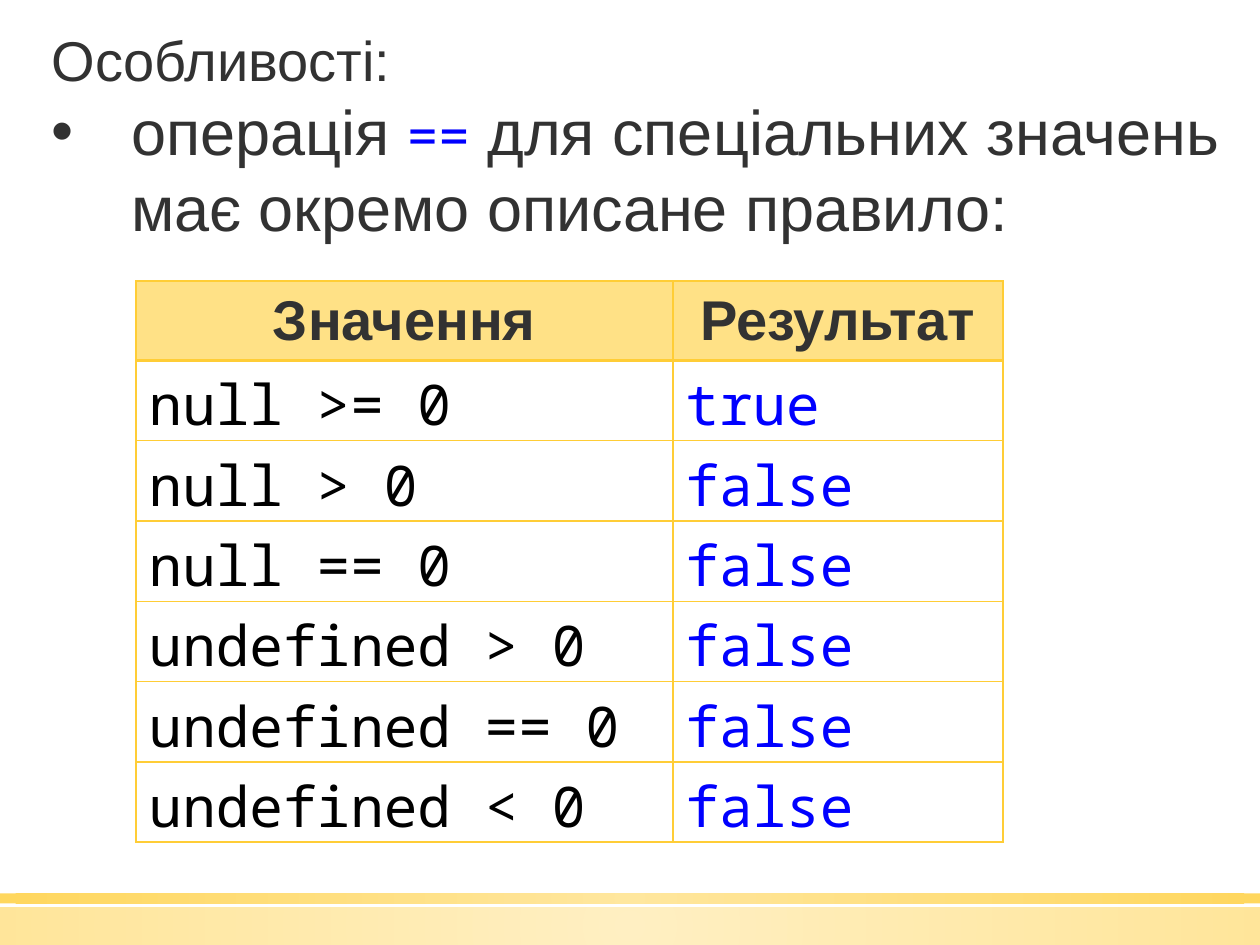
"""Build the slide on special values and the == operator."""
from pptx import Presentation
from pptx.dml.color import RGBColor
from pptx.enum.shapes import MSO_SHAPE as Shape
from pptx.enum.text import MSO_ANCHOR as Anchor, MSO_AUTO_SIZE as Fit, PP_ALIGN as Align
from pptx.oxml import parse_xml
from pptx.oxml.ns import nsdecls
from pptx.util import Inches, Pt

SANS, MONO = "Arial", "Noto Sans Mono"
DARK, BLUE, BLACK, WHITE = "323232", "0000FF", "000000", "FFFFFF"
PALE, GOLD = "FFE186", "FFCD36"
INTRO = [("Особливості:", 32, SANS, DARK)]
POINT = [
    ("операція ", 36, SANS, DARK),
    ("==", 30, MONO, BLUE),
    (" для спеціальних значень має окремо описане правило:", 36, SANS, DARK),
]
HEAD = ("Значення", "Результат")
ROWS = [
    ("null >= 0", "true"),
    ("null > 0", "false"),
    ("null == 0", "false"),
    ("undefined > 0", "false"),
    ("undefined == 0", "false"),
    ("undefined < 0", "false"),
]
COLS = (4.26, 2.62)
ROW_H = 0.63
BARS = [(7.2, 0.3, 50), (7.09, 0.08, 80)]


def color(code):
    return RGBColor.from_string(code)


def add_run(para, text, size, face, code, bold=False):
    run = para.add_run()
    run.text = text
    font = run.font
    font.size, font.name, font.bold = Pt(size), face, bold
    font.color.rgb = color(code)


def add_bar(slide, top, height, alpha):
    bar = slide.shapes.add_shape(
        Shape.RECTANGLE, 0, Inches(top), Inches(10), Inches(height))
    bar.shadow.inherit = False
    bar.line.fill.background()
    stops = "".join(
        f'<a:gs pos="{pos}"><a:srgbClr val="{code}">'
        f'<a:alpha val="{alpha * 1000}"/></a:srgbClr></a:gs>'
        for pos, code in ((0, PALE), (100000, GOLD)))
    bar.element.spPr.insert(2, parse_xml(
        f'<a:gradFill {nsdecls("a")}><a:gsLst>{stops}</a:gsLst>'
        '<a:path path="circle"><a:fillToRect l="50000" t="50000" '
        'r="50000" b="50000"/></a:path></a:gradFill>'))


def fill_cell(cell, text, face, code, back, head):
    cell.fill.solid()
    cell.fill.fore_color.rgb = color(back)
    para = cell.text_frame.paragraphs[0]
    if head:
        cell.vertical_anchor = Anchor.MIDDLE
        para.alignment = Align.CENTER
    else:
        cell.margin_bottom = 0
        para.line_spacing = 0.97
    add_run(para, text, 32, face, code, head)
    props = cell._tc.get_or_add_tcPr()
    for spot, side in enumerate("LRTB"):
        width = Pt(2 if head and side == "B" else 1)
        props.insert(spot, parse_xml(
            f'<a:ln{side} {nsdecls("a")} w="{width}"><a:solidFill>'
            f'<a:srgbClr val="{GOLD}"/></a:solidFill></a:ln{side}>'))


def add_text(body):
    body.left, body.top = Inches(0.31), Inches(0.15)
    body.width, body.height = Inches(10.14), Inches(1.85)
    frame = body.text_frame
    frame.word_wrap, frame.auto_size = True, Fit.NONE
    for para, runs in ((frame.paragraphs[0], INTRO), (frame.add_paragraph(), POINT)):
        para.space_before = Pt(0)
        para.line_spacing = 1.0
        for run in runs:
            add_run(para, *run)
        props = para._p.get_or_add_pPr()
        listed = runs is POINT
        props.set("marL", str(Inches(0.63 if listed else 0)))
        props.set("indent", str(Inches(-0.63 if listed else 0)))
        mark = 'buChar char="•"' if listed else "buNone"
        props.append(parse_xml(f'<a:{mark} {nsdecls("a")}/>'))


def add_grid(slide):
    count = len(ROWS) + 1
    grid = slide.shapes.add_table(
        count, len(COLS), Inches(1.08), Inches(2.23),
        Inches(sum(COLS)), Inches(ROW_H * count)).table
    for col, width in zip(grid.columns, COLS):
        col.width = Inches(width)
    for row in grid.rows:
        row.height = Inches(ROW_H)
    for r, texts in enumerate([HEAD] + ROWS):
        for c, text in enumerate(texts):
            style = ((SANS, DARK, PALE, True) if r == 0
                     else (MONO, (BLACK, BLUE)[c], WHITE, False))
            fill_cell(grid.cell(r, c), text, *style)


deck = Presentation()
deck.slide_width, deck.slide_height = Inches(10), Inches(7.5)
slide = deck.slides.add_slide(deck.slide_layouts[1])
title, body = slide.placeholders
title.element.getparent().remove(title.element)
for bar in BARS:
    add_bar(slide, *bar)
add_text(body)
add_grid(slide)
deck.save("out.pptx")
